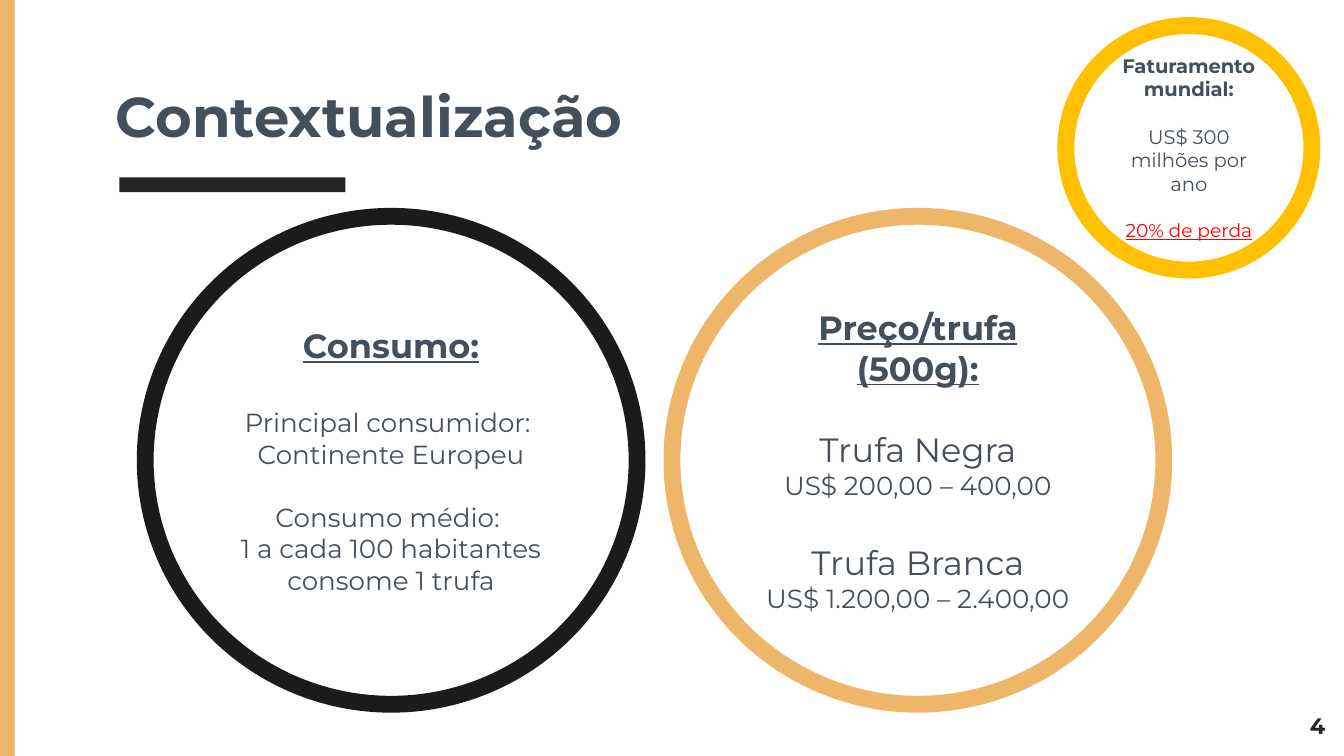
"""Build the "Contextualização" slide with its three ringed fact circles."""
from dataclasses import dataclass

from pptx import Presentation
from pptx.dml.color import RGBColor
from pptx.enum.shapes import MSO_SHAPE
from pptx.enum.text import MSO_ANCHOR, MSO_AUTO_SIZE, PP_ALIGN
from pptx.util import Pt

RECT, OVAL = MSO_SHAPE.RECTANGLE, MSO_SHAPE.OVAL
TOP, MIDDLE, BOTTOM = MSO_ANCHOR.TOP, MSO_ANCHOR.MIDDLE, MSO_ANCHOR.BOTTOM
LEFT, CENTER, RIGHT = PP_ALIGN.LEFT, PP_ALIGN.CENTER, PP_ALIGN.RIGHT
NO_AUTOFIT = MSO_AUTO_SIZE.NONE


@dataclass(frozen=True)
class Theme:
    font: str = "Montserrat"
    slate: str = "454F5B"
    dark: str = "242424"
    black: str = "1B1B1B"
    sand: str = "EDB668"
    amber: str = "FFC000"
    red: str = "FF0000"
    title: float = 30
    heading: float = 18
    body: float = 14
    number: float = 12
    small: float = 10.5
    note: float = 10
    ring: float = 9
    inset: float = 7.2
    line_height: float = 1.22


THEME = Theme()


@dataclass(frozen=True)
class Box:
    left: float
    top: float
    width: float
    height: float

    def lengths(self) -> tuple:
        return Pt(self.left), Pt(self.top), Pt(self.width), Pt(self.height)


@dataclass(frozen=True)
class Line:
    text: str
    size: float
    bold: bool = False
    underline: bool = False
    color: str = THEME.slate
    gap: float = 0


@dataclass(frozen=True)
class Ring:
    box: Box
    color: str
    lines: tuple


def blank(size: float) -> float:
    """Return the height of one text line of the given size."""
    return round(size * THEME.line_height, 2)


BIG_TOP, BIG_WIDTH, BIG_HEIGHT = 115.9, 263.5, 261.4
RINGS = (
    Ring(Box(360, BIG_TOP, BIG_WIDTH, BIG_HEIGHT), THEME.sand, (
        Line("Preço/trufa (500g):", THEME.heading, bold=True, underline=True),
        Line("Trufa Negra", THEME.heading, gap=blank(THEME.heading)),
        Line("US$ 200,00 – 400,00", THEME.body),
        Line("Trufa Branca", THEME.heading, gap=blank(THEME.heading)),
        Line("US$ 1.200,00 – 2.400,00", THEME.body),
    )),
    Ring(Box(77.8, BIG_TOP, BIG_WIDTH, BIG_HEIGHT), THEME.black, (
        Line("Consumo:", THEME.heading, bold=True, underline=True),
        Line("Principal consumidor: ", THEME.body, gap=blank(THEME.heading)),
        Line("Continente Europeu", THEME.body),
        Line("Consumo médio: ", THEME.body, gap=blank(THEME.body)),
        Line("1 a cada 100 habitantes consome 1 trufa", THEME.body),
    )),
    Ring(Box(571, 13.7, 131.8, 131), THEME.amber, (
        Line("Faturamento mundial:", THEME.small, bold=True),
        Line("US$ 300 milhões por ano", THEME.small, gap=blank(THEME.small)),
        Line("20% de perda", THEME.note, underline=True, color=THEME.red,
             gap=blank(THEME.small)),
    )),
)


def write(sp, lines: tuple, align, anchor) -> None:
    """Fill a shape's text frame with formatted paragraphs."""
    tf = sp.text_frame
    tf.word_wrap = True
    tf.auto_size = NO_AUTOFIT
    tf.vertical_anchor = anchor
    tf.margin_left = tf.margin_right = Pt(THEME.inset)
    tf.margin_top = tf.margin_bottom = Pt(THEME.inset)
    for i, line in enumerate(lines):
        p = tf.add_paragraph() if i else tf.paragraphs[0]
        p.text = line.text
        p.alignment = align
        if line.gap:
            p.space_before = Pt(line.gap)
        p.font.name = THEME.font
        p.font.size = Pt(line.size)
        p.font.bold = line.bold
        p.font.underline = line.underline
        p.font.color.rgb = RGBColor.from_string(line.color)


def add_bar(s, box: Box, color: str) -> None:
    """Add a solid rectangle without an outline."""
    sp = s.shapes.add_shape(RECT, *box.lengths())
    sp.shadow.inherit = False
    sp.fill.solid()
    sp.fill.fore_color.rgb = RGBColor.from_string(color)
    sp.line.fill.background()


def add_ring(s, ring: Ring) -> None:
    """Add an unfilled circle with a thick outline and centred text."""
    sp = s.shapes.add_shape(OVAL, *ring.box.lengths())
    sp.shadow.inherit = False
    sp.fill.background()
    sp.line.color.rgb = RGBColor.from_string(ring.color)
    sp.line.width = Pt(THEME.ring)
    write(sp, ring.lines, CENTER, MIDDLE)


def set_title(s, box: Box, text: str) -> None:
    """Place and format the title placeholder."""
    sp = s.shapes.title
    sp.left, sp.top, sp.width, sp.height = box.lengths()
    write(sp, (Line(text, THEME.title, bold=True),), LEFT, BOTTOM)


def add_number(s, box: Box, text: str) -> None:
    """Add the page number."""
    sp = s.shapes.add_textbox(*box.lengths())
    write(sp, (Line(text, THEME.number, bold=True, color=THEME.dark),), RIGHT, TOP)


def main() -> None:
    """Build and save the slide."""
    prs = Presentation()
    prs.slide_width, prs.slide_height = Pt(720), Pt(405)
    s = prs.slides.add_slide(prs.slide_layouts[5])
    add_bar(s, Box(0, 0, 7.9, 405), THEME.sand)
    add_bar(s, Box(64, 95, 121, 8), THEME.dark)
    set_title(s, Box(54.7, 48.2, 295.2, 38.9), "Contextualização")
    add_number(s, Box(673.9, 374.4, 43.2, 24.5), "4")
    for ring in RINGS:
        add_ring(s, ring)
    prs.save("out.pptx")


if __name__ == "__main__":
    main()
